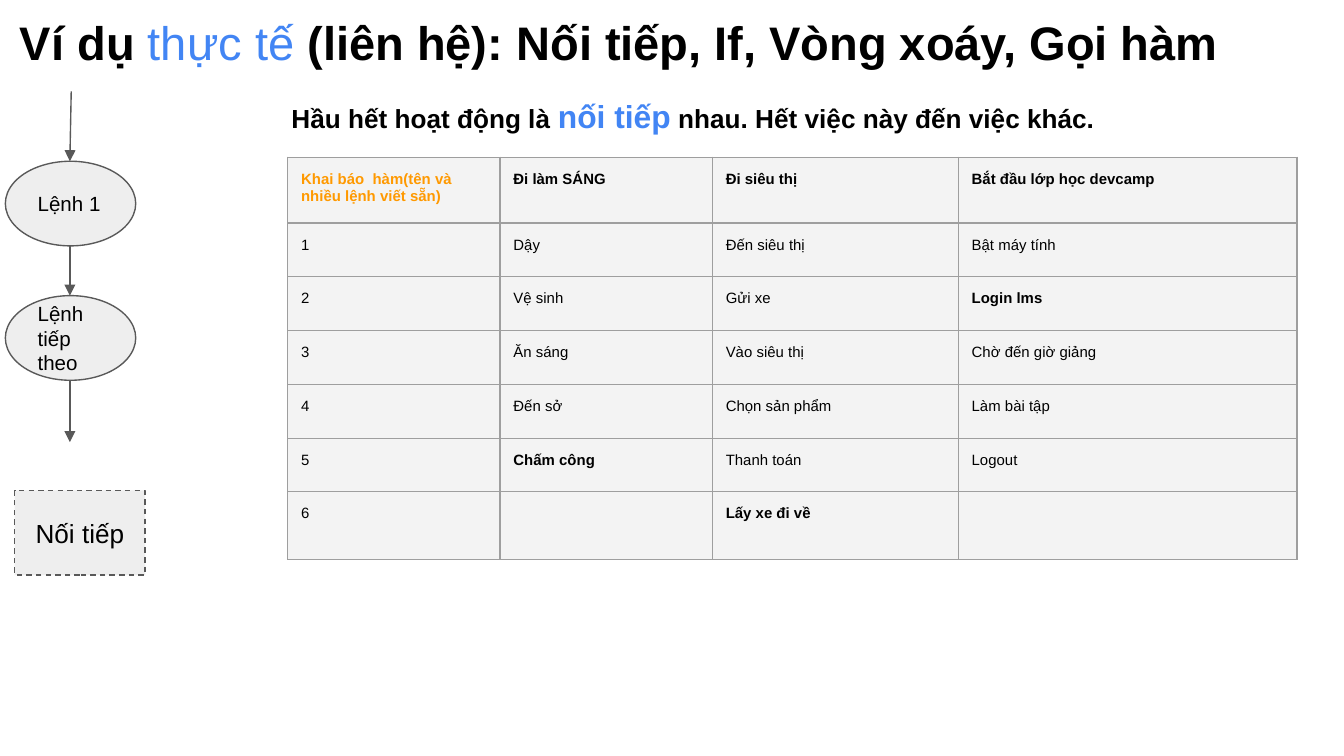
from lxml.etree import SubElement
from pptx import Presentation
from pptx.dml.color import RGBColor
from pptx.enum.dml import MSO_LINE as Dash
from pptx.enum.shapes import MSO_CONNECTOR as Link, MSO_SHAPE as Kind
from pptx.enum.text import MSO_ANCHOR as Anchor, PP_ALIGN as Align
from pptx.oxml.ns import qn
from pptx.util import Inches, Pt

BLACK, BLUE, ORANGE = "000000", "4285F4", "FF9900"
GRAY, PALE, DARK, EDGE = "EEEEEE", "F3F3F3", "595959", "9E9E9E"


def color(code):
    return RGBColor.from_string(code)


class Board:
    font = "Arial"
    pad = Inches(0.1)
    thin = Pt(0.75)

    def __init__(self, slide):
        self.slide = slide

    def style(self, font, size, code=BLACK, bold=False):
        font.name, font.size, font.bold = self.font, Pt(size), bold
        font.color.rgb = color(code)

    def inset(self, box):
        box.margin_left = box.margin_right = self.pad
        box.margin_top = box.margin_bottom = self.pad

    def text(self, place, parts):
        """Add a text box from (words, size, color, bold) parts."""
        frame = self.slide.shapes.add_textbox(*map(Inches, place)).text_frame
        frame.word_wrap = True
        self.inset(frame)
        for words, *look in parts:
            run = frame.paragraphs[0].add_run()
            run.text = words
            self.style(run.font, *look)

    def shape(self, kind, place, words, size, align=Align.LEFT, dash=None):
        shape = self.slide.shapes.add_shape(kind, *map(Inches, place))
        shape.shadow.inherit = False
        shape.fill.solid()
        shape.fill.fore_color.rgb = color(GRAY)
        shape.line.color.rgb = color(DARK)
        shape.line.width = self.thin
        if dash:
            shape.line.dash_style = dash
        frame = shape.text_frame
        frame.word_wrap = True
        frame.vertical_anchor = Anchor.MIDDLE
        self.inset(frame)
        para = frame.paragraphs[0]
        para.text, para.alignment = words, align
        self.style(para.font, size)

    def arrow(self, *ends):
        line = self.slide.shapes.add_connector(Link.STRAIGHT, *map(Inches, ends))
        line.line.color.rgb = color(DARK)
        line.line.width = self.thin
        props = line.line._get_or_add_ln()
        SubElement(props, qn("a:tailEnd"), type="triangle")
        SubElement(line._element.spPr, qn("a:effectLst"))

    def border(self, cell):
        props = cell._tc.get_or_add_tcPr()
        for side in "LRTB":
            line = SubElement(props, qn(f"a:ln{side}"), w=str(self.thin))
            fill = SubElement(line, qn("a:solidFill"))
            SubElement(fill, qn("a:srgbClr"), val=EDGE)

    def table(self, left, top, widths, heights, rows, strong):
        frame = self.slide.shapes.add_table(
            len(rows), len(widths), Inches(left), Inches(top),
            Inches(sum(widths)), Inches(sum(heights)))
        table = frame.table
        table.first_row = table.horz_banding = False
        for col, width in zip(table.columns, widths):
            col.width = Inches(width)
        for row, height in zip(table.rows, heights):
            row.height = Inches(height)
        for i, row in enumerate(rows):
            for j, words in enumerate(row):
                cell = table.cell(i, j)
                self.border(cell)
                self.inset(cell)
                cell.fill.solid()
                cell.fill.fore_color.rgb = color(PALE)
                if words:
                    para = cell.text_frame.paragraphs[0]
                    para.text = words
                    code = ORANGE if i == j == 0 else BLACK
                    self.style(para.font, 8, code, i == 0 or words in strong)


def main():
    deck = Presentation()
    deck.slide_width = Inches(10)
    deck.slide_height = deck.slide_width * 9 // 16
    board = Board(deck.slides.add_slide(deck.slide_layouts[6]))

    board.text((0.05, 0, 9.65, 0.63), [
        ("Ví dụ", 25.2, BLACK, True),
        (" thực tế", 25.2, BLUE, False),
        (" (liên hệ): Nối tiếp, If, Vòng xoáy, Gọi hàm", 25.2, BLACK, True)])

    board.table(2.14, 1.17, [1.58, 1.58, 1.83, 2.52], [0.49] + [0.4] * 5 + [0.45], [
        ("Khai báo  hàm(tên và nhiều lệnh viết sẵn)", "Đi làm SÁNG",
         "Đi siêu thị", "Bắt đầu lớp học devcamp"),
        ("1", "Dậy", "Đến siêu thị", "Bật máy tính"),
        ("2", "Vệ sinh", "Gửi xe", "Login lms"),
        ("3", "Ăn sáng", "Vào siêu thị", "Chờ đến giờ giảng"),
        ("4", "Đến sở", "Chọn sản phẩm", "Làm bài tập"),
        ("5", "Chấm công", "Thanh toán", "Logout"),
        ("6", "", "Lấy xe đi về", ""),
    ], {"Login lms", "Chấm công", "Lấy xe đi về"})

    wide, high, mid = 0.97, 0.63, 0.52
    for top, words in (1.2, "Lệnh 1"), (2.2, "Lệnh tiếp theo"):
        board.shape(Kind.OVAL, (0.04, top, wide, high), words, 11)
    for start, y1, y2 in (0.53, 0.68, 1.2), (mid, 1.83, 2.2), (mid, 2.83, 3.29):
        board.arrow(start, y1, mid, y2)
    board.shape(Kind.RECTANGLE, (0.11, 3.65, wide, high), "Nối tiếp", 14,
                Align.CENTER, Dash.DASH)

    board.text((2.07, 0.62, 7.42, 0.49), [
        ("Hầu hết hoạt động là ", 14, BLACK, True),
        ("nối tiếp", 17, BLUE, True),
        (" nhau. Hết việc này đến việc khác.", 14, BLACK, True)])

    deck.save("out.pptx")


if __name__ == "__main__":
    main()
